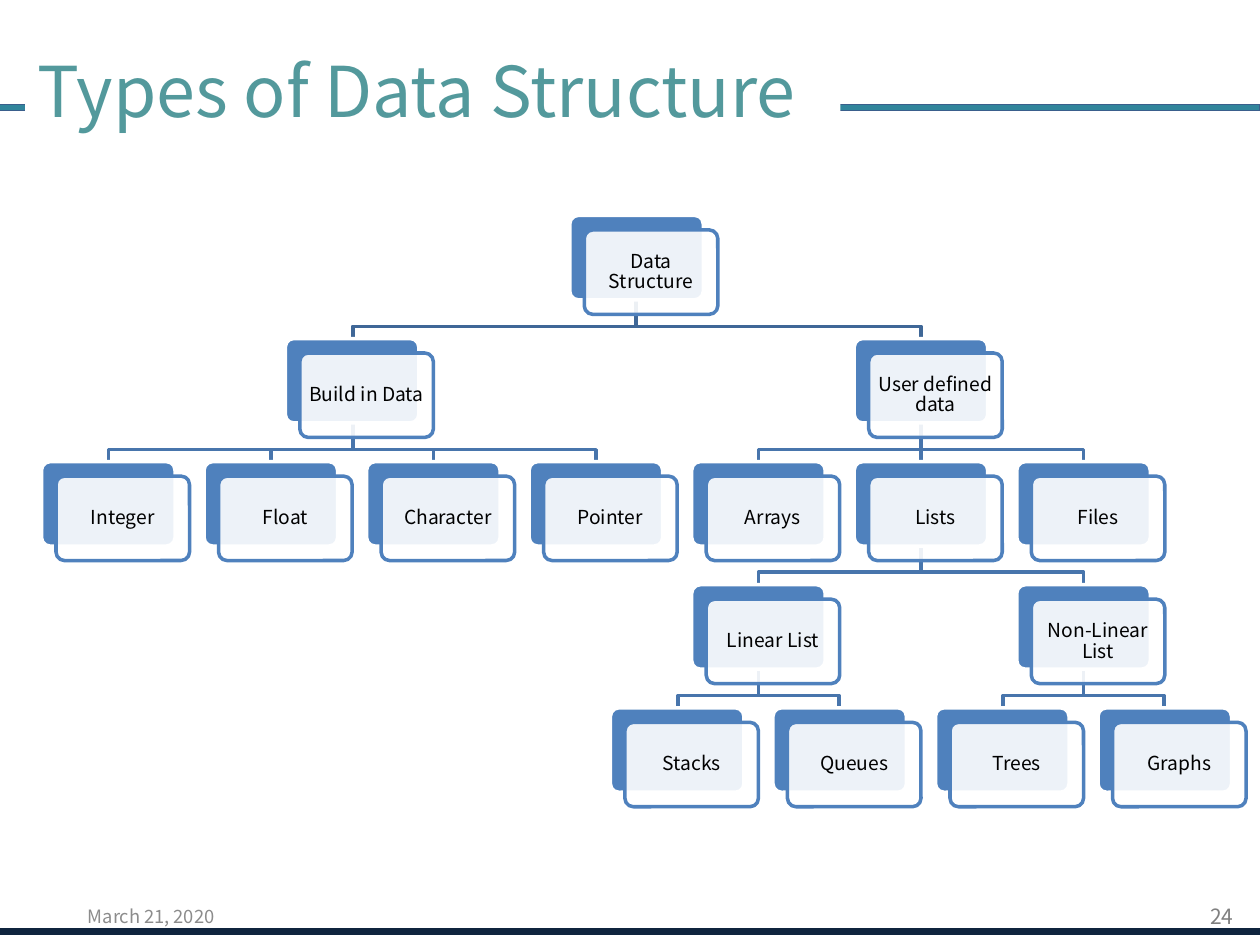
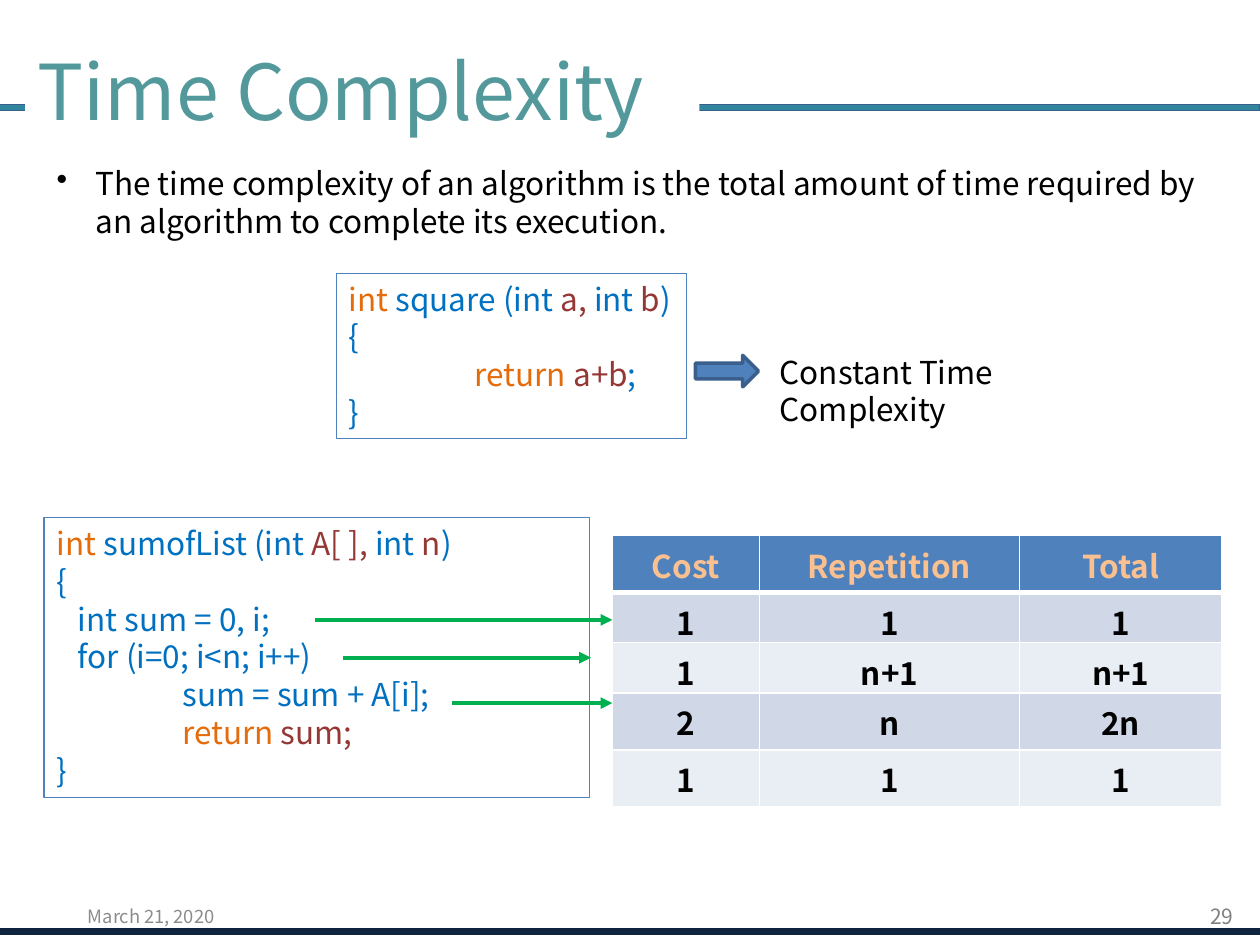
from pptx import Presentation
from pptx.dml.color import RGBColor
from pptx.enum.shapes import MSO_CONNECTOR, MSO_SHAPE as SHAPE
from pptx.enum.text import MSO_ANCHOR as ANCHOR, PP_ALIGN as ALIGN
from pptx.oxml.ns import qn
from pptx.util import Pt
from lxml.etree import SubElement

PX = 9144
FONT = "Noto Sans CJK KR"
COLORS = {
    "white": "FFFFFF", "black": "000000", "title": "53999C",
    "footer_band": "0F243E", "title_band": "31859C", "edge": "3A5F8C",
    "page": "808080", "date": "8C8C8C", "blue": "4F81BD",
    "root_link": "3F6797", "link": "4875AC",
    "keyword": "E46C0A", "code": "0070C0", "variable": "953735",
    "arrow": "00B050", "head_text": "FAC090",
    "odd_row": "D0D8E8", "even_row": "E9EDF4",
}

DATE = "March 21, 2020"
TREE = [
    ("Data Structure", None, 3.25, 0),
    ("Build in Data", "Data Structure", 1.5, 1),
    ("User defined data", "Data Structure", 5, 1),
    ("Integer", "Build in Data", 0, 2),
    ("Float", "Build in Data", 1, 2),
    ("Character", "Build in Data", 2, 2),
    ("Pointer", "Build in Data", 3, 2),
    ("Arrays", "User defined data", 4, 2),
    ("Lists", "User defined data", 5, 2),
    ("Files", "User defined data", 6, 2),
    ("Linear List", "Lists", 4, 3),
    ("Non-Linear List", "Lists", 6, 3),
    ("Stacks", "Linear List", 3.5, 4),
    ("Queues", "Linear List", 4.5, 4),
    ("Trees", "Non-Linear List", 5.5, 4),
    ("Graphs", "Non-Linear List", 6.5, 4),
]
TREE_LEFT, TREE_TOP, COL_STEP, ROW_STEP = 33, 171, 129, 97.7
CARD_W, CARD_H, CARD_SHIFT, ELBOW = 106, 67, 11.5, 21

DEFINITION = ("The time complexity of an algorithm is the total amount of time "
              "required by an algorithm to complete its execution.")
VERDICT = "Constant Time Complexity"
SQUARE_CODE = [
    (0, [("int", "keyword"), (" square (int ", "code"), ("a, ", "variable"),
         ("int ", "code"), ("b", "variable"), (")", "code")]),
    (0, [("{", "code")]),
    (100, [("return ", "keyword"), ("a+b", "variable"), (";", "code")]),
    (0, [("}", "code")]),
]
SUM_CODE = [
    (0, [("int ", "keyword"), ("sumofList (int ", "code"), ("A[ ], ", "variable"),
         ("int ", "code"), ("n", "variable"), (")", "code")]),
    (0, [("{", "code")]),
    (17, [("int sum = 0, i;", "code")]),
    (17, [("for (i=0; i<n; i++)", "code")]),
    (100, [("sum = sum + A[i];", "code")]),
    (100, [("return ", "keyword"), ("sum;", "variable")]),
    (0, [("}", "code")]),
]
COSTS = [
    ("Cost", "Repetition", "Total"),
    ("1", "1", "1"),
    ("1", "n+1", "n+1"),
    ("2", "n", "2n"),
    ("1", "1", "1"),
]
COST_COLS = [117, 206, 161]
COST_ROWS = [45, 40, 40, 45, 45]
COST_ARROWS = [(250, 486, 492), (272, 469, 522), (359, 486, 558)]


def rgb(name):
    return RGBColor.from_string(COLORS[name])


def emu(*lengths):
    return [round(n * PX) for n in lengths]


def style_font(font, size, color, bold=None):
    font.name, font.size, font.bold = FONT, Pt(size), bold
    font.color.rgb = rgb(color)


def add_box(s, box, fill=None, line=None, width=1, shape=SHAPE.RECTANGLE):
    sp = s.shapes.add_shape(shape, *emu(*box))
    sp.shadow.inherit = False
    if fill:
        sp.fill.solid()
        sp.fill.fore_color.rgb = rgb(fill)
    else:
        sp.fill.background()
    if line:
        sp.line.color.rgb = rgb(line)
        sp.line.width = Pt(width)
    else:
        sp.line.fill.background()
    return sp


def write(sp, text, size, color, align=ALIGN.LEFT, anchor=ANCHOR.MIDDLE):
    tf = sp.text_frame
    tf.word_wrap = True
    tf.vertical_anchor = anchor
    p = tf.paragraphs[0]
    p.text, p.alignment = text, align
    style_font(p.font, size, color)
    return p


def add_text(s, box, *args, **kwargs):
    return write(s.shapes.add_textbox(*emu(*box)), *args, **kwargs)


def add_line(shapes, start, end, color, width):
    cx = shapes.add_connector(MSO_CONNECTOR.STRAIGHT, *emu(*start, *end))
    cx.line.color.rgb = rgb(color)
    cx.line.width = Pt(width)
    SubElement(cx._element.spPr, qn("a:effectLst"))
    return cx


def add_slide(prs, title, title_width, title_size, page):
    s = prs.slides.add_slide(prs.slide_layouts[6])
    add_box(s, (0, 738, 1002, 3), "footer_band", "footer_band", 2)
    add_box(s, (-3, 83, 1003, 5), "title_band", "edge", 0)
    write(add_box(s, (20, 33, title_width, 76), "white"), title, title_size, "title")
    add_text(s, (756, 707, 233, 40), page, 12, "page", ALIGN.RIGHT)
    add_text(s, (60, 707, 233, 40), DATE, 10.5, "date")
    return s


def add_link(links, parent, child, color):
    (x1, y1, above), (x2, y2, below) = parent, child
    start, end = (x1 + CARD_W / 2, y1 + CARD_H), (x2 + CARD_W / 2, y2)
    if x1 == x2:
        cx = add_line(links.shapes, start, end, color, 2)
        cx.begin_connect(above, 2)
        cx.end_connect(below, 0)
        return
    bend = start[1] + ELBOW
    fb = links.shapes.build_freeform(*start, scale=PX)
    fb.add_line_segments([(start[0], bend), (end[0], bend), end], close=False)
    sp = fb.convert_to_shape()
    sp.shadow.inherit = False
    sp.fill.background()
    sp.line.color.rgb = rgb(color)
    sp.line.width = Pt(2)


def add_card(s, x, y, text):
    back = add_box(s, (x, y, CARD_W, CARD_H), "blue", "white", 2,
                   SHAPE.ROUNDED_RECTANGLE)
    front = add_box(s, (x + CARD_SHIFT, y + CARD_SHIFT, CARD_W, CARD_H),
                    "white", "blue", 2, SHAPE.ROUNDED_RECTANGLE)
    back.adjustments[0] = front.adjustments[0] = 0.1
    color = front._element.spPr.find(qn("a:solidFill"))[0]
    SubElement(color, qn("a:alpha"), val="90000")
    p = write(front, text, 11, "black", ALIGN.CENTER)
    p.line_spacing = 0.9
    tf = front.text_frame
    tf.margin_left = tf.margin_right = tf.margin_top = tf.margin_bottom = 4 * PX
    return back


def add_tree(s):
    links = s.shapes.add_group_shape()
    cards = {}
    for text, parent, col, row in TREE:
        x, y = TREE_LEFT + col * COL_STEP, TREE_TOP + row * ROW_STEP
        cards[text] = (x, y, add_card(s, x, y, text))
        if parent:
            color = "root_link" if row == 1 else "link"
            add_link(links, cards[parent], cards[text], color)


def add_code(s, box, lines):
    tf = add_box(s, box, line="blue", width=0.75).text_frame
    tf.word_wrap = True
    tf.vertical_anchor = ANCHOR.TOP
    for i, (indent, tokens) in enumerate(lines):
        p = tf.add_paragraph() if i else tf.paragraphs[0]
        p.alignment = ALIGN.LEFT
        p._p.get_or_add_pPr().set("marL", str(indent * PX))
        for text, color in tokens:
            r = p.add_run()
            r.text = text
            style_font(r.font, 18, color)


def set_borders(cell, bottom):
    tc_pr = cell._tc.get_or_add_tcPr()
    for i, side in enumerate("LRTB"):
        width = bottom if side == "B" else 1
        ln = SubElement(tc_pr, qn(f"a:ln{side}"), w=str(Pt(width)))
        fill = SubElement(ln, qn("a:solidFill"))
        SubElement(fill, qn("a:srgbClr"), val=COLORS["white"])
        tc_pr.insert(i, ln)


def add_costs(s):
    box = (486, 425, sum(COST_COLS), sum(COST_ROWS))
    table = s.shapes.add_table(len(COSTS), len(COST_COLS), *emu(*box)).table
    for col, width in zip(table.columns, COST_COLS):
        col.width = width * PX
    for i, (values, height) in enumerate(zip(COSTS, COST_ROWS)):
        table.rows[i].height = height * PX
        fill = "blue" if i == 0 else "odd_row" if i % 2 else "even_row"
        for j, value in enumerate(values):
            cell = table.cell(i, j)
            cell.fill.solid()
            cell.fill.fore_color.rgb = rgb(fill)
            set_borders(cell, 1 if i else 3)
            p = cell.text_frame.paragraphs[0]
            p.text, p.alignment = value, ALIGN.CENTER
            style_font(p.font, 18, "black" if i else "head_text", True)


def add_definition(s):
    p = add_text(s, (35, 125, 929, 571), DEFINITION, 18, "black", anchor=ANCHOR.TOP)
    p.space_before = Pt(3.6)
    p_pr = p._p.get_or_add_pPr()
    p_pr.set("marL", str(31 * PX))
    p_pr.set("indent", str(-31 * PX))
    bullet = SubElement(p_pr, qn("a:buChar"), char="•")
    p_pr.find(qn("a:defRPr")).addprevious(bullet)


def main():
    prs = Presentation()
    prs.slide_width, prs.slide_height = emu(1000, 750)

    s = add_slide(prs, "Types of Data Structure", 647, 40, "24")
    add_tree(s)

    s = add_slide(prs, "Time Complexity", 535, 44, "29")
    add_definition(s)
    add_code(s, (267, 217, 278, 131), SQUARE_CODE)
    add_box(s, (552, 282, 50, 25), "blue", "edge", 2, SHAPE.RIGHT_ARROW)
    add_text(s, (609, 275, 322, 40), VERDICT, 18, "black", anchor=ANCHOR.TOP)
    add_code(s, (35, 411, 433, 222), SUM_CODE)
    add_costs(s)
    for x1, x2, y in COST_ARROWS:
        cx = add_line(s.shapes, (x1, y), (x2, y), "arrow", 2.25)
        SubElement(cx.line._get_or_add_ln(), qn("a:tailEnd"), type="triangle")

    prs.save("out.pptx")


if __name__ == "__main__":
    main()
